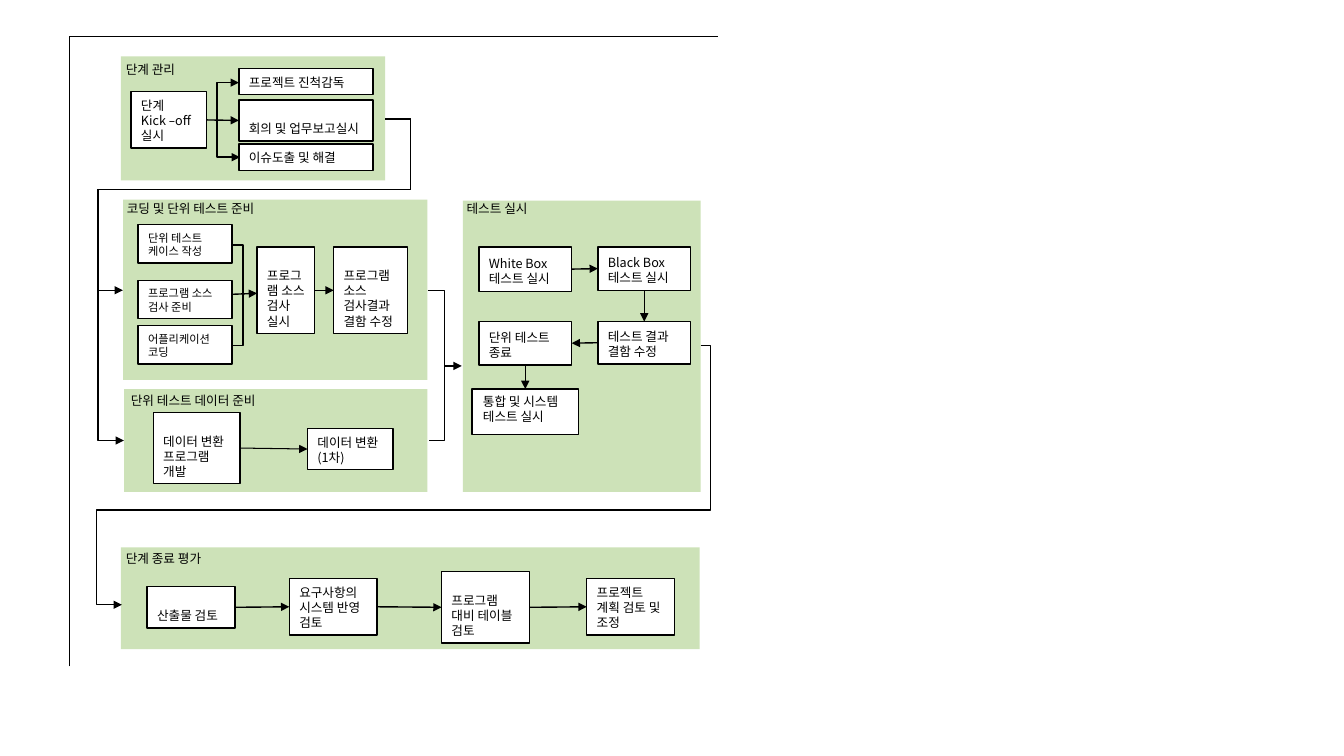
from lxml import etree
from pptx import Presentation
from pptx import util as u
from pptx.dml.color import RGBColor
from pptx.enum import shapes, text
from pptx.oxml.ns import qn

BLACK = RGBColor(0, 0, 0)
WHITE = RGBColor(255, 255, 255)
GREEN = RGBColor(0xCD, 0xE2, 0xB8)
FONT = "Noto Sans CJK KR"
DASH = "DejaVu Sans"
RECT = shapes.MSO_SHAPE.RECTANGLE
BOTTOM = text.MSO_ANCHOR.BOTTOM
TOP = text.MSO_ANCHOR.TOP

deck = Presentation()
deck.slide_width, deck.slide_height = u.Inches(13.33), u.Inches(7.5)
slide = deck.slides.add_slide(deck.slide_layouts[6])
items = slide.shapes


def write(shape, words, size=9, anchor=BOTTOM, inset=0.1):
    frame = shape.text_frame
    frame.word_wrap = True
    frame.vertical_anchor = anchor
    frame.margin_left = frame.margin_right = u.Inches(inset)
    frame.margin_top = frame.margin_bottom = u.Inches(0.05)
    for i, line in enumerate(words.split("\n")):
        para = frame.add_paragraph() if i else frame.paragraphs[0]
        para.alignment = text.PP_ALIGN.LEFT
        for j, row in enumerate(line.split("\v")):
            if j:
                para.add_line_break()
            for part in filter(None, row.partition("–")):
                run = para.add_run()
                run.text = part
                run.font.size = u.Pt(size)
                run.font.color.rgb = BLACK
                run.font.name = DASH if part == "–" else FONT
                east = etree.SubElement(run.font._element, qn("a:ea"))
                east.set("typeface", run.font.name)


def link(start, end, bends=(), width=1, head=False, tail=True):
    (x1, y1), (x2, y2) = start, end
    kind = shapes.MSO_CONNECTOR.ELBOW if bends else shapes.MSO_CONNECTOR.STRAIGHT
    line = items.add_connector(kind, *map(u.Inches, (x1, y1, x2, y2)))
    line.line.color.rgb = BLACK
    line.line.width = u.Pt(width)
    props = line._element.spPr
    if bends:
        geom = props.find(qn("a:prstGeom"))
        geom.set("prst", f"bentConnector{len(bends) + 2}")
        guides = geom.get_or_add_avLst()
        for i, bend in enumerate(bends):
            low, high = (y1, y2) if i == 1 else (x1, x2)
            guide = etree.SubElement(guides, qn("a:gd"))
            guide.set("name", f"adj{i + 1}")
            guide.set("fmla", f"val {round((bend - low) / (high - low) * 100000)}")
    for tag, shown in (("a:headEnd", head), ("a:tailEnd", tail)):
        if shown:
            etree.SubElement(line.line._get_or_add_ln(), qn(tag)).set("type", "triangle")
    etree.SubElement(props, qn("a:effectLst"))
    return line


path = items.build_freeform(u.Inches(0.69), u.Inches(6.61))
path.add_line_segments(
    [(u.Inches(0.69), u.Inches(0.36)), (u.Inches(7.12), u.Inches(0.36))], close=False)
border = path.convert_to_shape()
border.fill.background()
border.line.color.rgb = BLACK
border.line.width = u.Pt(0.75)
border.shadow.inherit = False

panels = [
    ("단계 관리", (1.2, 0.56, 2.62, 1.23), (1.15, 0.56)),
    ("코딩 및 단위 테스트 준비", (1.22, 1.98, 3.02, 1.79), (1.16, 1.94)),
    ("단위 테스트 데이터 준비", (1.23, 3.86, 3.01, 1.02), (1.2, 3.85)),
    ("테스트 실시", (4.59, 1.99, 2.36, 2.89), (4.53, 1.94)),
    ("단계 종료 평가", (1.2, 5.43, 5.74, 1.01), (1.15, 5.41)),
]
for title, area, spot in panels:
    panel = items.add_shape(RECT, *map(u.Inches, area))
    panel.fill.solid()
    panel.fill.fore_color.rgb = GREEN
    panel.line.fill.background()
    panel.shadow.inherit = False
    label = items.add_textbox(*map(u.Inches, (*spot, 1.9, 0.25)))
    write(label, title)

steps = [
    ("kick", "단계\nKick –off 실시", (1.3, 0.91, 0.75, 0.56), {}),
    ("track", "프로젝트 진척감독", (2.37, 0.68, 1.33, 0.26), {}),
    ("meet", "회의 및 업무보고실시", (2.37, 0.99, 1.33, 0.41), {}),
    ("issue", "이슈도출 및 해결", (2.37, 1.43, 1.33, 0.26), {}),
    ("case", "단위 테스트 케이스 작성", (1.37, 2.23, 0.93, 0.38), {"size": 8}),
    ("source", "프로그램 소스 검사 준비", (1.37, 2.78, 0.93, 0.38), {"size": 8}),
    ("code", "어플리케이션 코딩", (1.37, 3.23, 0.93, 0.38), {"size": 8}),
    ("check", "프로그램 소스 검사 실시", (2.55, 2.45, 0.57, 0.86), {}),
    ("mend", "프로그램\n소스 검사결과 결함 수정", (3.31, 2.45, 0.73, 0.86), {}),
    ("tool", "데이터 변환 프로그램 개발", (1.52, 4.09, 0.86, 0.71), {}),
    ("data", "데이터 변환(1차)", (3.05, 4.25, 0.85, 0.41), {}),
    ("white", "White Box 테스트 실시", (4.75, 2.45, 0.92, 0.44), {}),
    ("black", "Black Box 테스트 실시", (5.93, 2.45, 0.92, 0.43), {}),
    ("fix", "테스트 결과 결함 수정", (5.93, 3.19, 0.92, 0.42), {}),
    ("done", "단위 테스트 종료", (4.75, 3.19, 0.92, 0.43), {}),
    ("system", "통합 및 시스템\v테스트 실시", (4.68, 3.86, 1.06, 0.45),
     {"anchor": TOP, "inset": 0.11}),
    ("output", "산출물 검토", (1.46, 5.82, 0.87, 0.41), {}),
    ("needs", "요구사항의 시스템 반영 검토", (2.87, 5.74, 0.87, 0.56), {}),
    ("table", "프로그램 대비 테이블 검토", (4.38, 5.67, 0.87, 0.71), {}),
    ("plan", "프로젝트 계획 검토 및 조정", (5.82, 5.74, 0.87, 0.56), {}),
]
boxes = {}
for name, words, area, style in steps:
    box = items.add_shape(RECT, *map(u.Inches, area))
    box.fill.solid()
    box.fill.fore_color.rgb = WHITE
    box.line.color.rgb = BLACK
    box.line.width = u.Pt(1)
    box.shadow.inherit = False
    write(box, words, **style)
    boxes[name] = box

joins = [
    ("kick", 3, "meet", 1, 1),
    ("check", 3, "mend", 1, 1),
    ("tool", 3, "data", 1, 0.75),
    ("white", 3, "black", 1, 1),
    ("black", 2, "fix", 0, 1),
    ("fix", 1, "done", 3, 1),
    ("done", 2, "system", 0, 1),
    ("output", 3, "needs", 1, 1),
    ("needs", 3, "table", 1, 1),
    ("table", 3, "plan", 1, 1),
]
for first, out, last, side, width in joins:
    arrow = link((0, 0), (1, 1), width=width)
    arrow.begin_connect(boxes[first], out)
    arrow.end_connect(boxes[last], side)

link((2.3, 2.92), (2.55, 2.91))
link((4.41, 3.63), (4.58, 3.63))
link((2.37, 0.82), (2.38, 1.56), [2.15], head=True)
link((2.3, 2.43), (2.31, 3.43), [2.41], tail=False)
link((4.24, 2.88), (4.25, 4.37), [4.41], tail=False)
link((3.82, 1.18), (1.22, 2.88), [4.07, 1.88, 0.97])
link((3.82, 1.18), (1.23, 4.37), [4.07, 1.88, 0.97])
link((6.95, 3.43), (1.21, 6), [7.05, 5.06, 0.96])

deck.save("out.pptx")
